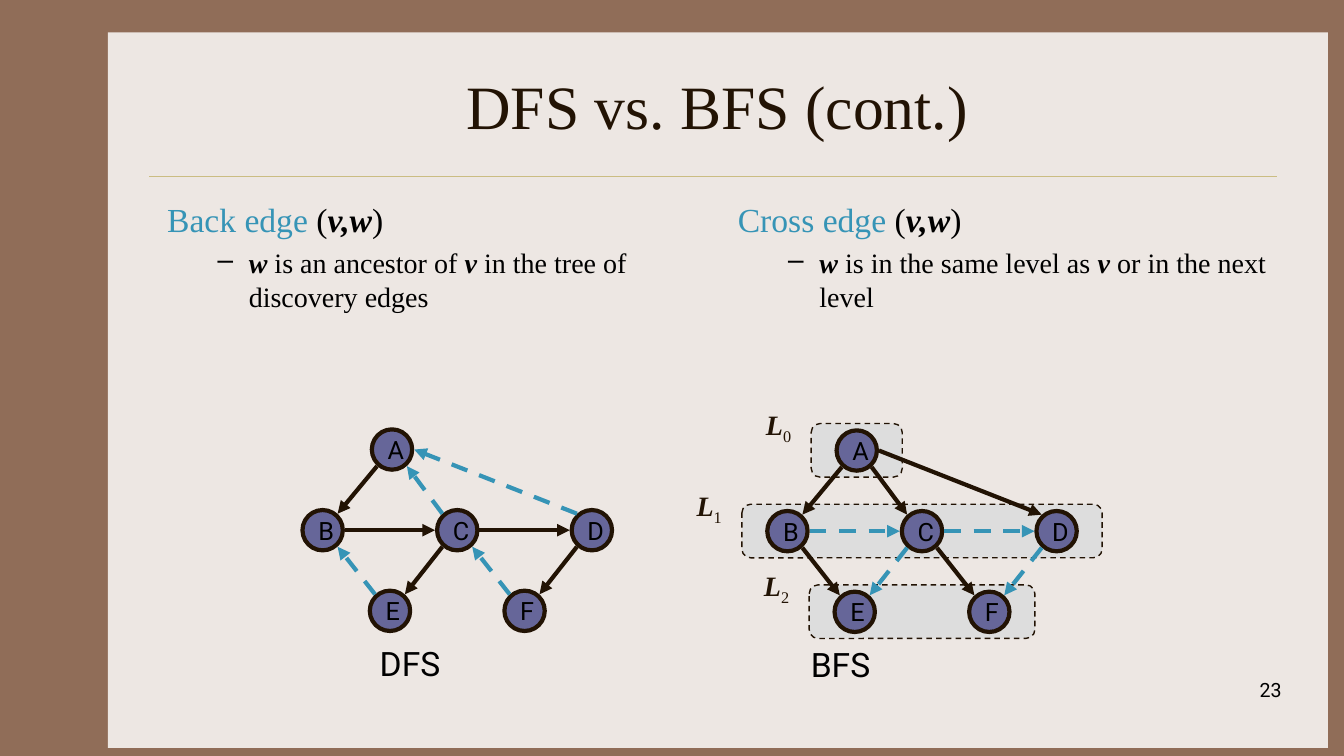
from collections import namedtuple
from dataclasses import dataclass

from lxml import etree
from pptx import Presentation
from pptx import util as u
from pptx.dml.color import RGBColor
from pptx.enum import dml, shapes, text
from pptx.oxml.ns import qn

Box = namedtuple("Box", "left top width height")


@dataclass(frozen=True)
class Theme:
    frame: str = "906D58"
    panel: str = "EDE7E3"
    rule: str = "CBBD83"
    ink: str = "221304"
    black: str = "000000"
    accent: str = "3694B6"
    node: str = "666699"
    level: str = "DDDDDD"
    serif: str = "Times New Roman"
    sans: str = "Roboto"
    title: int = 44
    heading: int = 24
    detail: int = 20
    label: int = 18
    number: int = 14


THEME = Theme()
WIDTH, HEIGHT = 13.33, 7.5

# Column and row of each vertex in a graph of five columns and three rows
VERTICES = {"A": (1.03, 0), "B": (0, 1), "C": (2, 1), "D": (4, 1), "E": (1, 2), "F": (3, 2)}
LEVELS = ("A", "BD", "EF")  # first and last vertex of each level


def share(left, top, width, height):
    """Box in inches from percentages of the slide."""
    return Box(left * WIDTH / 100, top * HEIGHT / 100, width * WIDTH / 100, height * HEIGHT / 100)


def rgb(value):
    return RGBColor.from_string(value)


def inches(box):
    return [u.Inches(length) for length in box]


def add_run(paragraph, words, size, color, font=THEME.serif, strong=False):
    run = paragraph.add_run()
    run.text = words
    run.font.size = u.Pt(size)
    run.font.name = font
    run.font.color.rgb = rgb(color)
    run.font.bold = run.font.italic = strong
    return run


def add_text(slide, box):
    frame = slide.shapes.add_textbox(*inches(box)).text_frame
    frame.word_wrap = True
    return frame


def add_shape(slide, kind, box, fill, line_width=0):
    shape = slide.shapes.add_shape(kind, *inches(box))
    shape.shadow.inherit = False
    shape.fill.solid()
    shape.fill.fore_color.rgb = rgb(fill)
    if line_width:
        shape.line.color.rgb = rgb(THEME.ink)
        shape.line.width = u.Pt(line_width)
    else:
        shape.line.fill.background()
    return shape


def add_line(slide, start, end, color, width):
    connector = slide.shapes.add_connector(shapes.MSO_CONNECTOR.STRAIGHT, *inches(start + end))
    connector.line.color.rgb = rgb(color)
    connector.line.width = u.Pt(width)
    etree.SubElement(connector._element.spPr, qn("a:effectLst"))
    return connector


def add_background(slide):
    slide.background.fill.solid()
    slide.background.fill.fore_color.rgb = rgb(THEME.frame)
    add_shape(slide, shapes.MSO_SHAPE.RECTANGLE, share(8.03, 4.27, 90.77, 94.67), THEME.panel)
    rule = share(11.1, 23.33, 83.95, 0)
    add_line(slide, (rule.left, rule.top), (rule.left + rule.width, rule.top), THEME.rule, 0.25)


def add_title(slide, box, words):
    frame = add_text(slide, box)
    frame.vertical_anchor = text.MSO_ANCHOR.MIDDLE
    frame.paragraphs[0].alignment = text.PP_ALIGN.CENTER
    add_run(frame.paragraphs[0], words, THEME.title, THEME.ink)


def add_definition(slide, box, term, meaning):
    """Term with its edge, then a dashed point; meaning alternates strong and plain."""
    frame = add_text(slide, box)
    heading = frame.paragraphs[0]
    add_run(heading, term + " ", THEME.heading, THEME.accent)
    for words, strong in (("(", False), ("v,w", True), (")", False)):
        add_run(heading, words, THEME.heading, THEME.black, strong=strong)

    point = frame.add_paragraph()
    point.level = 1
    point.space_before = u.Pt(5)
    properties = point._p.get_or_add_pPr()
    properties.set("marL", str(u.Inches(0.81)))
    properties.set("indent", str(u.Inches(-0.31)))
    etree.SubElement(properties, qn("a:buChar")).set("char", "–")
    for position, words in enumerate(meaning):
        add_run(point, words, THEME.detail, THEME.black, strong=position % 2 == 0)


def add_levels(slide, corners, node):
    """Dashed band around each level, with its name at the upper left."""
    for number, ends in enumerate(LEVELS):
        (first, top), (last, _) = corners[ends[0]], corners[ends[-1]]
        left = first - 0.63 * node
        band = Box(left, top - 0.17 * node, last - first + 2.26 * node, 1.33 * node)
        shape = add_shape(slide, shapes.MSO_SHAPE.ROUNDED_RECTANGLE, band, THEME.level, 1)
        shape.line.dash_style = dml.MSO_LINE.DASH
        name = Box(left - 1.37 * node, band.top - 0.52 * node, 1.28 * node, 1.08 * node)
        paragraph = add_text(slide, name).paragraphs[0]
        add_run(paragraph, "L", THEME.detail, THEME.ink, strong=True)
        subscript = add_run(paragraph, str(number), THEME.detail, THEME.ink)
        subscript.font._element.set("baseline", "-25000")


def edge_end(own, other, node):
    """Point just outside the vertex at own, towards the vertex at other."""
    across, down = VERTICES[other][0] - VERTICES[own][0], VERTICES[other][1] - VERTICES[own][1]
    side = 1 if across > 0 else -1
    sideways = down == 0 or (own == "A" and other == "D")
    if sideways:
        return side * 0.55 * node, 0
    return side * 0.37 * node, (0.41 if down > 0 else -0.41) * node


def add_graph(slide, box, caption, caption_column, tree_edges, other_edges, levels=False):
    node = box.height / 5
    column, row = (box.width - node) / 4, (box.height - node) / 2
    corners = {name: (box.left + x * column, box.top + y * row)
               for name, (x, y) in VERTICES.items()}
    if levels:
        add_levels(slide, corners, node)

    for name, corner in corners.items():
        vertex = add_shape(slide, shapes.MSO_SHAPE.OVAL, Box(*corner, node, node), THEME.node, 3)
        frame = vertex.text_frame
        frame.word_wrap = False
        frame.vertical_anchor = text.MSO_ANCHOR.MIDDLE
        frame.paragraphs[0].alignment = text.PP_ALIGN.LEFT
        add_run(frame.paragraphs[0], name, THEME.label, THEME.black, THEME.sans)

    for edges, color, dashed in ((tree_edges, THEME.ink, False), (other_edges, THEME.accent, True)):
        for source, target in edges.split():
            ends = []
            for own, other in ((source, target), (target, source)):
                shift = edge_end(own, other, node)
                ends.append(tuple(corner + node / 2 + move
                                  for corner, move in zip(corners[own], shift)))
            arrow = add_line(slide, *ends, color, 3)
            if dashed:
                arrow.line.dash_style = dml.MSO_LINE.DASH
            etree.SubElement(arrow.line._get_or_add_ln(), qn("a:tailEnd")).set("type", "triangle")

    label = Box(box.left + caption_column * column, box.top + box.height + 0.17 * node,
                4.35 * node, 1.25 * node)
    add_run(add_text(slide, label).paragraphs[0], caption, THEME.heading, THEME.black, THEME.sans)


def add_number(slide, box, number):
    paragraph = add_text(slide, box).paragraphs[0]
    paragraph.alignment = text.PP_ALIGN.RIGHT
    add_run(paragraph, number, THEME.number, THEME.black, THEME.sans)


def main():
    presentation = Presentation()
    presentation.slide_width, presentation.slide_height = u.Inches(WIDTH), u.Inches(HEIGHT)
    slide = presentation.slides.add_slide(presentation.slide_layouts[6])
    add_background(slide)
    add_title(slide, share(11.7, 5.6, 83.35, 16.67), "DFS vs. BFS (cont.)")
    add_definition(slide, share(11.7, 25.6, 40.81, 60), "Back edge",
                   ("w", " is an ancestor of ", "v", " in the tree of discovery edges"))
    add_definition(slide, share(54.16, 25.6, 40.81, 60), "Cross edge",
                   ("w", " is in the same level as ", "v", " or in the next level"))
    add_graph(slide, share(22.51, 56.8, 23.03, 26.67), "DFS", 1,
              "AB BC CD CE DF", "EB CA DA FC")
    add_graph(slide, share(57.09, 56.93, 23.03, 26.67), "BFS", 0.5,
              "AB AC AD BE CF", "BC CD CE DF", levels=True)
    add_number(slide, share(75.24, 89.07, 20.86, 6.67), "23")
    presentation.save("out.pptx")


if __name__ == "__main__":
    main()
